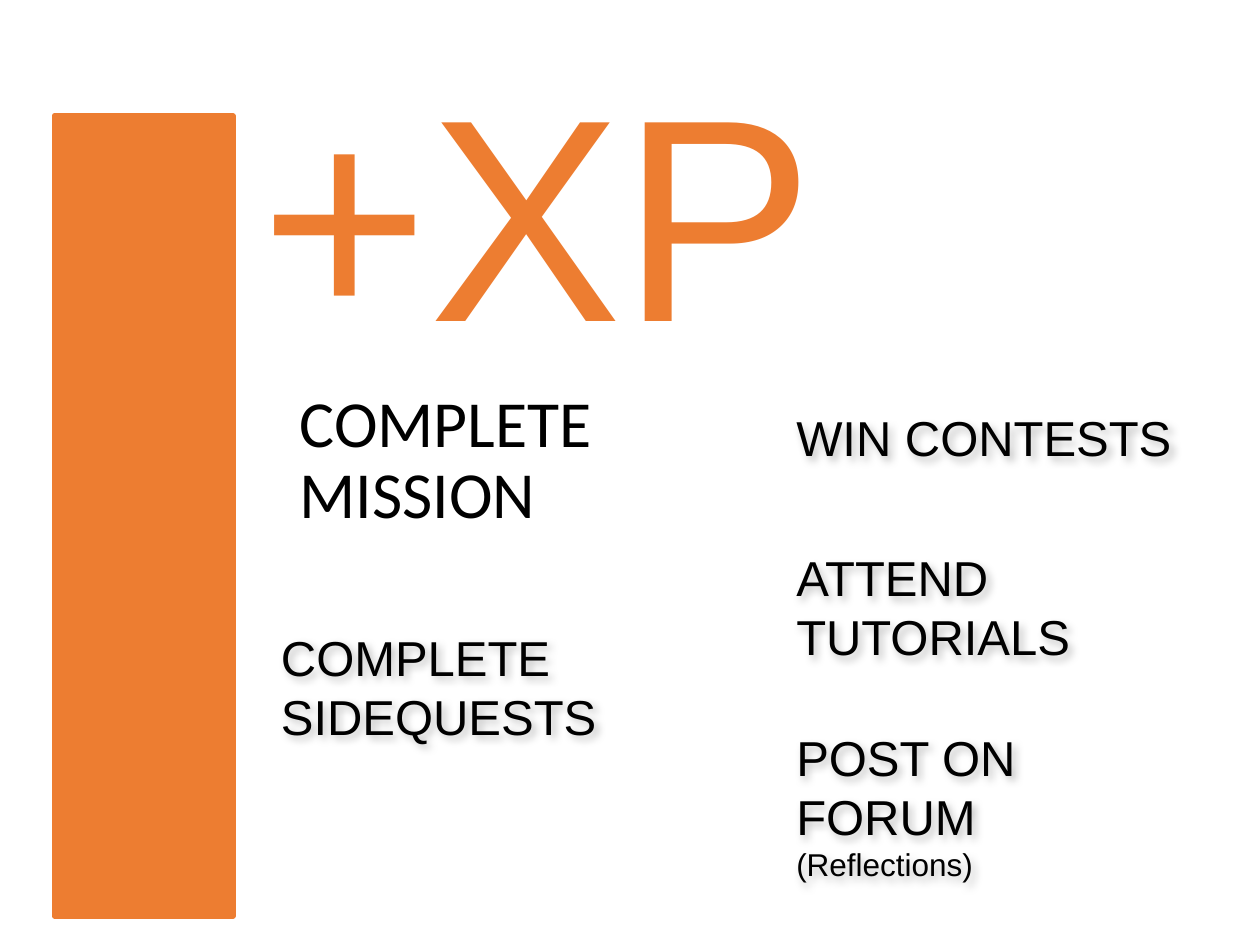
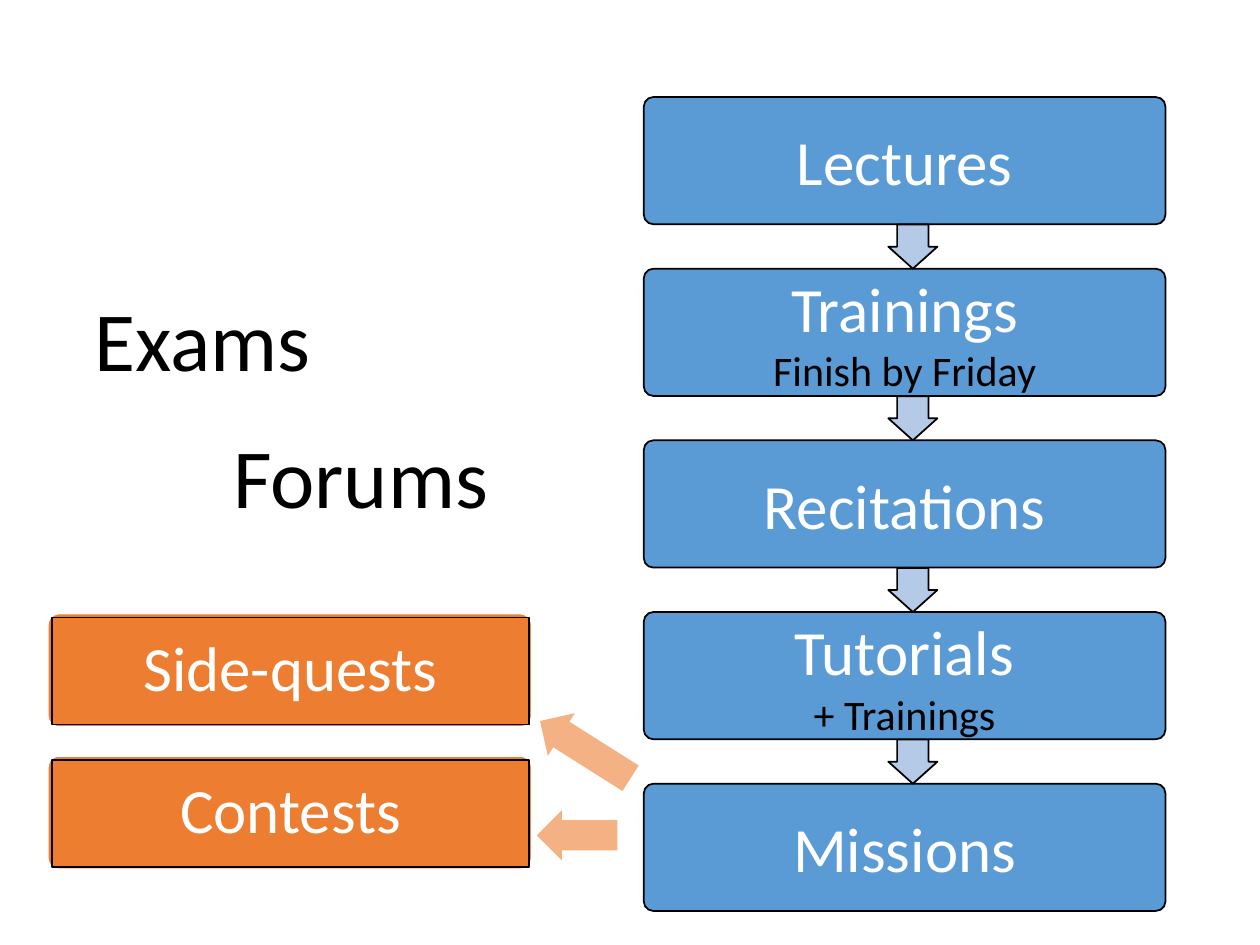
import pptx
import pptx.dml.color
import pptx.enum.shapes
import pptx.enum.text
import pptx.oxml
import pptx.oxml.ns
import pptx.util

Inches = pptx.util.Inches
Shape = pptx.enum.shapes.MSO_SHAPE
Anchor = pptx.enum.text.MSO_ANCHOR
Align = pptx.enum.text.PP_ALIGN

# Shared colours and text formats
ORANGE, PEACH = "ED7D31", "F4B183"
BLUE, PALE_BLUE = "5B9BD5", "B4CAE7"
BLACK, WHITE = "000000", "FFFFFF"

MISSION = {"name": "Calibri", "size": 37.6, "color": BLACK}
WAY = {"name": "Arial", "size": 28, "color": BLACK}
WAY_NOTE = {**WAY, "size": 18}
XP = {"name": "Arial", "size": 165, "color": ORANGE}
STEP = {"name": "Calibri", "size": 36, "color": WHITE}
STEP_NOTE = {"name": "Calibri", "size": 24, "color": BLACK}
ASIDE = {"name": "Calibri", "size": 48, "color": BLACK}


def rgb(value):
    return pptx.dml.color.RGBColor.from_string(value)


def style_font(font, style):
    for key, value in style.items():
        if key == "color":
            font.color.rgb = rgb(value)
        else:
            setattr(font, key, pptx.util.Pt(value) if key == "size" else value)


def write(shape, lines, inset=0, anchor=Anchor.MIDDLE, wrap=True,
          align=Align.LEFT, spacing=1.0):
    """Fill a shape with (text, style) lines, one paragraph each."""
    frame = shape.text_frame
    margins = {f"margin_{side}": Inches(inset)
               for side in ("left", "top", "right", "bottom")}
    settings = {"word_wrap": wrap, "vertical_anchor": anchor, **margins}
    for key, value in settings.items():
        setattr(frame, key, value)
    for index, (text, style) in enumerate(lines):
        para = frame.add_paragraph() if index else frame.paragraphs[0]
        para.alignment = align
        para.line_spacing = spacing
        span = para.add_run()
        span.text = text
        style_font(span.font, style)


def add_text(page, area, lines, **layout):
    box = page.shapes.add_textbox(*map(Inches, area))
    write(box, lines, **layout)
    return box


def add_block(page, kind, area, fill, line=None, width=1, adjust=(), turn=0):
    block = page.shapes.add_shape(kind, *map(Inches, area))
    block.shadow.inherit = False
    block.fill.solid()
    block.fill.fore_color.rgb = rgb(fill)
    if line:
        block.line.color.rgb = rgb(line)
        block.line.width = pptx.util.Pt(width)
    else:
        block.line.fill.background()
    for index, value in enumerate(adjust):
        block.adjustments[index] = value
    block.rotation = turn
    return block


def add_soft_shadow(box):
    box._element.spPr.append(pptx.oxml.parse_xml(
        f'<a:effectLst {pptx.oxml.ns.nsdecls("a")}>'
        '<a:outerShdw blurRad="63500" dist="38100" dir="2700000">'
        '<a:srgbClr val="000000"><a:alpha val="25000"/></a:srgbClr>'
        '</a:outerShdw></a:effectLst>'))


def add_step(page, top, lines):
    card = add_block(page, Shape.ROUNDED_RECTANGLE, (5.11, top, 4.14, 1.01),
                     BLUE, BLACK, adjust=[0.075])
    write(card, lines, align=Align.CENTER)


def add_extra(page, top, label):
    add_block(page, Shape.ROUNDED_RECTANGLE, (0.38, top, 3.84, 0.9),
              ORANGE, WHITE, adjust=[0.1])
    panel = add_block(page, Shape.RECTANGLE, (0.41, top + 0.03, 3.79, 0.85),
                      ORANGE, BLACK)
    write(panel, [(label, STEP)], align=Align.CENTER, spacing=0.9)


def build_xp_page(page):
    # Side band and heading
    add_block(page, Shape.RECTANGLE, (0.43, 0.92, 1.42, 6.35),
              ORANGE, ORANGE, width=3)
    add_text(page, (2.02, 0.21, 5.1, 2.65), [("+XP", XP)],
             inset=0.05, anchor=Anchor.TOP, wrap=False)

    # Ways to earn points
    add_text(page, (2.32, 3.04, 3.47, 1.81), [("COMPLETE MISSION", MISSION)],
             inset=0.06, anchor=Anchor.TOP, spacing=0.9)
    ways = [
        ((2.17, 4.95, 3.86, 0.99), [("COMPLETE SIDEQUESTS", WAY)]),
        ((6.26, 3.2, 3.35, 0.54), [("WIN CONTESTS", WAY)]),
        ((6.26, 4.32, 3.35, 0.99), [("ATTEND TUTORIALS", WAY)]),
        ((6.26, 5.75, 3.35, 1.28),
         [("POST ON FORUM", WAY), ("(Reflections)", WAY_NOTE)]),
    ]
    for area, lines in ways:
        add_soft_shadow(add_text(page, area, lines, inset=0.06))


def build_course_page(page):
    # Weekly steps, joined by block arrows
    steps = [("Lectures", None), ("Trainings", "Finish by Friday"),
             ("Recitations", None), ("Tutorials", "+ Trainings"),
             ("Missions", None)]
    first_top, last_top = 0.77, 6.22
    pitch = (last_top - first_top) / (len(steps) - 1)
    for index, (label, note) in enumerate(steps):
        top = first_top + index * pitch
        lines = [(label, STEP)] + ([(note, STEP_NOTE)] if note else [])
        add_step(page, top, lines)
        if index:
            add_block(page, Shape.DOWN_ARROW, (7.05, top - 0.35, 0.39, 0.35),
                      PALE_BLUE, BLACK, adjust=[0.64, 0.5])

    # Extras that branch off from the missions
    add_extra(page, 4.87, "Side-quests")
    add_extra(page, 6, "Contests")
    for area, turn in (((4.22, 5.75, 0.85, 0.4), 32.3),
                       ((4.26, 6.43, 0.64, 0.4), 0)):
        add_block(page, Shape.LEFT_ARROW, area, PEACH,
                  adjust=[0.6, 0.5], turn=turn)

    # Loose activities
    for label, area in (("Forums", (1.8, 3.32, 2.27, 0.88)),
                        ("Exams", (0.7, 2.23, 1.98, 0.88))):
        add_text(page, area, [(label, ASIDE)],
                 inset=0.05, anchor=Anchor.TOP, wrap=False)


def main():
    deck = pptx.Presentation()
    deck.slide_width, deck.slide_height = Inches(10), Inches(7.5)
    for build in (build_xp_page, build_course_page):
        build(deck.slides.add_slide(deck.slide_layouts[6]))
    deck.save("out.pptx")


if __name__ == "__main__":
    main()
